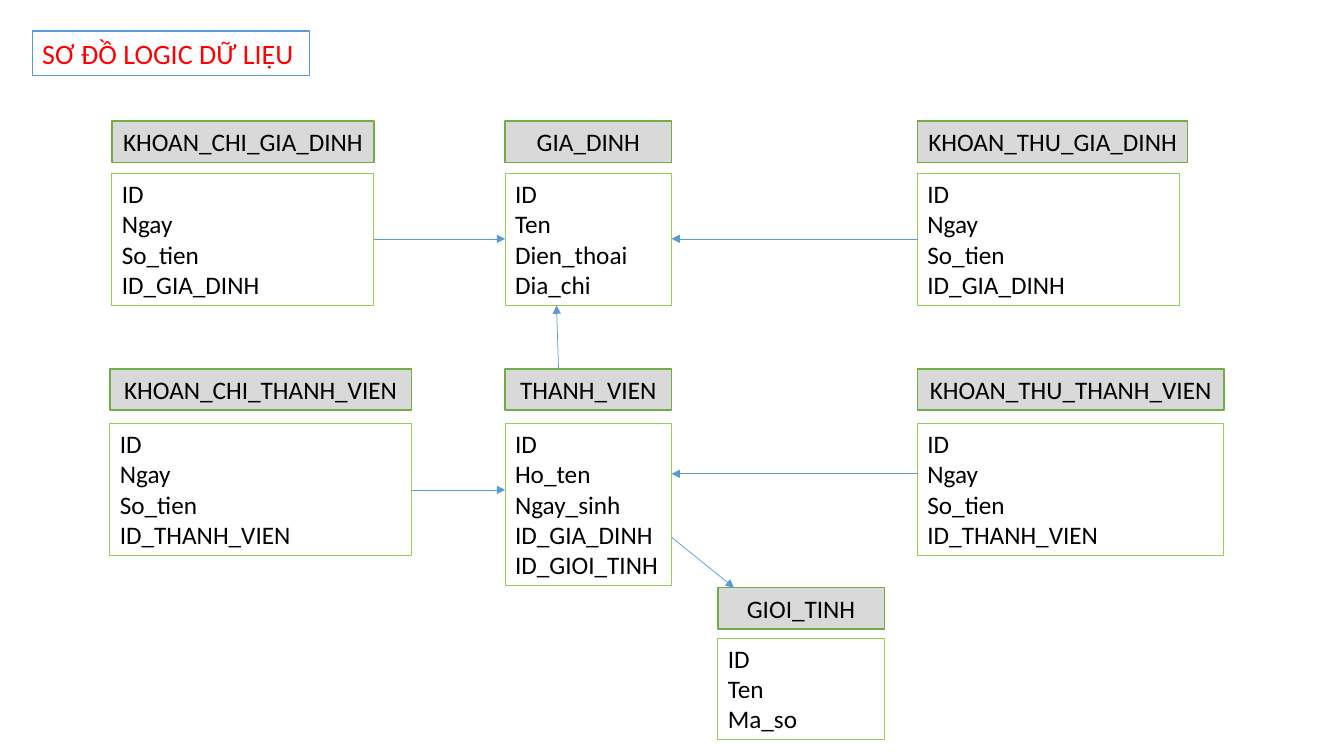
"""Build the logical data diagram of family income and spending."""
import lxml.etree
import pptx
import pptx.dml.color
import pptx.enum.shapes
import pptx.enum.text
import pptx.oxml.ns
import pptx.util

Inches = pptx.util.Inches
Align = pptx.enum.text.PP_ALIGN
Anchor = pptx.enum.text.MSO_ANCHOR
AutoSize = pptx.enum.text.MSO_AUTO_SIZE

THEME = {
    "font": "Calibri",
    "title": {"size": 20, "color": "FF0000", "fill": "FFFFFF", "line": "5B9BD5", "width": 1},
    "header": {"size": 18, "color": "000000", "fill": "D9D9D9", "line": "70AD47", "width": 1},
    "fields": {"size": 18, "color": "000000", "fill": None, "line": "92D050", "width": 0.75},
    "relation": {"line": "5B9BD5", "width": 0.5},
}
FRAME = {
    "title": {"word_wrap": True, "vertical_anchor": Anchor.TOP, "auto_size": AutoSize.SHAPE_TO_FIT_TEXT},
    "header": {"word_wrap": True, "vertical_anchor": Anchor.MIDDLE},
    "fields": {"word_wrap": True, "vertical_anchor": Anchor.TOP, "auto_size": AutoSize.SHAPE_TO_FIT_TEXT},
}
ALIGN = {"title": Align.LEFT, "header": Align.CENTER, "fields": Align.LEFT}
rgb = pptx.dml.color.RGBColor.from_string

presentation = pptx.Presentation()
presentation.slide_width = Inches(13.33)
presentation.slide_height = Inches(7.5)
slide = presentation.slides.add_slide(presentation.slide_layouts[6])


def add_box(role, left, top, width, height, lines):
    style = THEME[role]
    box = slide.shapes.add_shape(
        pptx.enum.shapes.MSO_SHAPE.RECTANGLE, *map(Inches, (left, top, width, height)))
    box.shadow.inherit = False
    if style["fill"]:
        box.fill.solid()
        box.fill.fore_color.rgb = rgb(style["fill"])
    else:
        box.fill.background()
    box.line.color.rgb = rgb(style["line"])
    box.line.width = pptx.util.Pt(style["width"])
    for name, value in FRAME[role].items():
        setattr(box.text_frame, name, value)
    box.text_frame.text = "\n".join(lines)
    font_format = {"name": THEME["font"], "size": pptx.util.Pt(style["size"])}
    for paragraph in box.text_frame.paragraphs:
        paragraph.alignment = ALIGN[role]
        font = paragraph.runs[0].font
        font.color.rgb = rgb(style["color"])
        for name, value in font_format.items():
            setattr(font, name, value)


HEADER_HEIGHT, LINE_HEIGHT, PADDING = 0.41, 0.3, 0.11
LEFT, CENTRE, RIGHT, GENDER = 1.11, 5.01, 9.1, 7.12
FAMILY, MEMBER, LOOKUP = (1.2, 1.72), (3.66, 4.2), (5.83, 6.33)
NARROW = 1.65
entry = ["ID", "Ngay", "So_tien"]
family_entry = entry + ["ID_GIA_DINH"]
member_entry = entry + ["ID_THANH_VIEN"]

entities = [
    ("KHOAN_CHI_GIA_DINH", LEFT, FAMILY, 2.6, 2.6, 4, family_entry),
    ("GIA_DINH", CENTRE, FAMILY, NARROW, NARROW, 4, ["ID", "Ten Dien_thoai", "Dia_chi"]),
    ("KHOAN_THU_GIA_DINH", RIGHT, FAMILY, 2.68, 2.6, 4, family_entry),
    ("KHOAN_CHI_THANH_VIEN", 1.09, MEMBER, 2.99, 2.99, 4, member_entry),
    ("THANH_VIEN", CENTRE, MEMBER, NARROW, NARROW, 5,
     ["ID", "Ho_ten", "Ngay_sinh", "ID_GIA_DINH", "ID_GIOI_TINH"]),
    ("KHOAN_THU_THANH_VIEN", RIGHT, MEMBER, 3.04, 3.04, 4, member_entry),
    ("GIOI_TINH", GENDER, LOOKUP, NARROW, NARROW, 3, ["ID", "Ten", "Ma_so"]),
]

add_box("title", 0.32, 0.31, 2.75, 0.44, ["SƠ ĐỒ LOGIC DỮ LIỆU"])
for entity, left, (header_top, fields_top), header_width, fields_width, rows, fields in entities:
    add_box("header", left, header_top, header_width, HEADER_HEIGHT, [entity])
    add_box("fields", left, fields_top, fields_width, PADDING + rows * LINE_HEIGHT, fields)

centre_right = CENTRE + NARROW
relations = [
    (3.71, 2.37, CENTRE, 2.37),
    (RIGHT, 2.37, centre_right, 2.37),
    (4.08, 4.86, CENTRE, 4.86),
    (RIGHT, 4.7, centre_right, 4.7),
    (5.54, MEMBER[0], 5.52, 3.03),
    (centre_right, 5.33, 7.28, LOOKUP[0]),
]
for ends in relations:
    relation = slide.shapes.add_connector(
        pptx.enum.shapes.MSO_CONNECTOR.STRAIGHT, *map(Inches, ends))
    relation.line.color.rgb = rgb(THEME["relation"]["line"])
    relation.line.width = pptx.util.Pt(THEME["relation"]["width"])
    outline = relation.line._get_or_add_ln()
    lxml.etree.SubElement(outline, pptx.oxml.ns.qn("a:tailEnd"), type="triangle")
    lxml.etree.SubElement(relation._element.spPr, pptx.oxml.ns.qn("a:effectLst"))

presentation.save("out.pptx")
